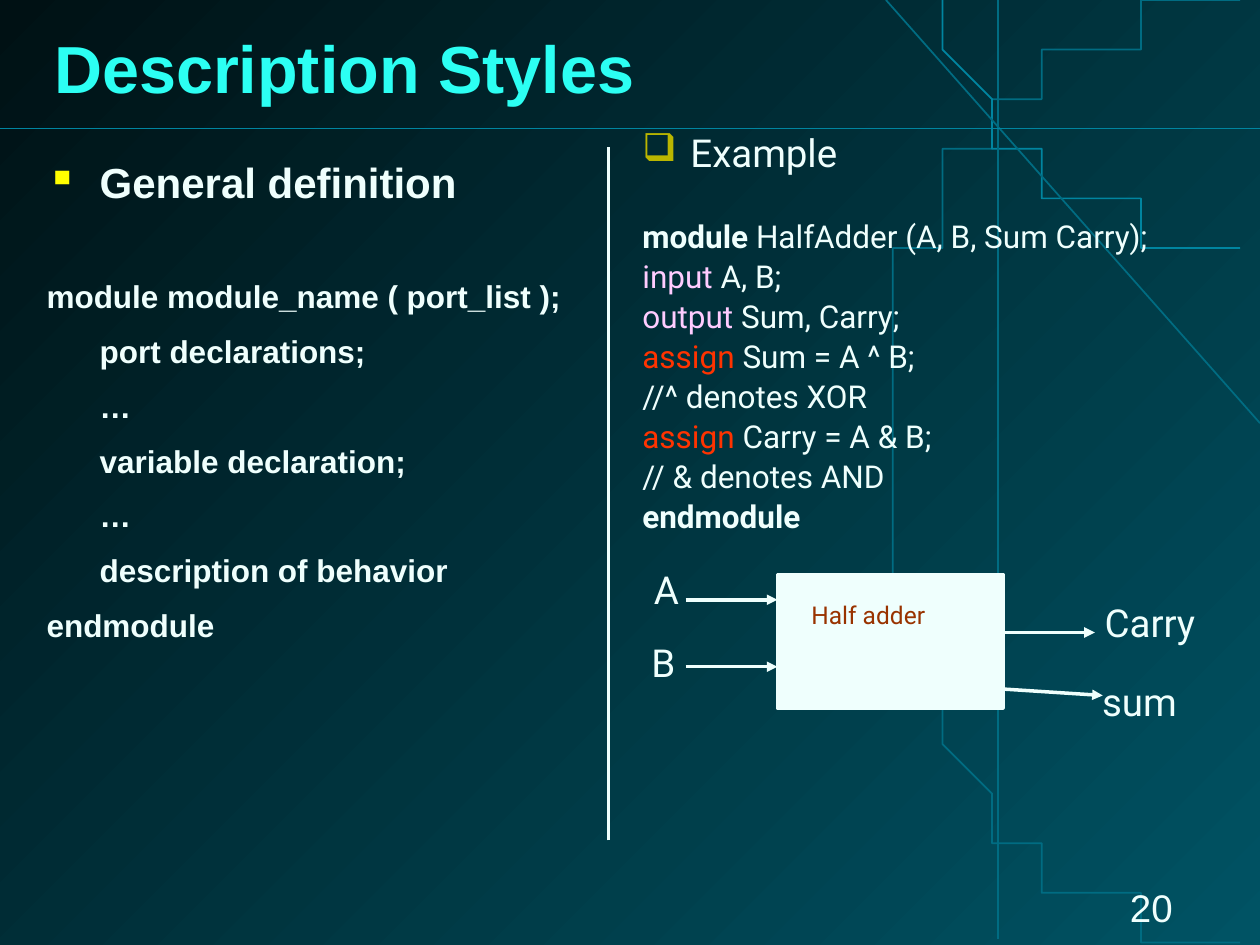
from dataclasses import dataclass

from lxml import etree
from pptx import Presentation
from pptx.dml.color import RGBColor
from pptx.enum.shapes import MSO_CONNECTOR, MSO_SHAPE
from pptx.enum.text import MSO_ANCHOR, PP_ALIGN
from pptx.oxml.ns import qn
from pptx.util import Cm, Pt

STRAIGHT = MSO_CONNECTOR.STRAIGHT
RECTANGLE = MSO_SHAPE.RECTANGLE
MIDDLE = MSO_ANCHOR.MIDDLE
LEFT, CENTER = PP_ALIGN.LEFT, PP_ALIGN.CENTER


@dataclass(frozen=True)
class Theme:
    dark: str = "001114"
    teal: str = "005364"
    faint: str = "006C82"
    accent: str = "0085A0"
    light: str = "EFFFFD"
    title: str = "2CFFF3"
    square: str = "FFFF00"
    box_bullet: str = "BAB600"
    port: str = "FFCCFF"
    assign: str = "FF3300"
    block: str = "993300"
    heading_font: str = "Arial"
    code_font: str = "Roboto"
    title_size: int = 38
    heading_size: int = 24
    label_size: int = 22
    code_size: int = 18
    block_size: int = 14


THEME = Theme()


def rgb(value):
    return RGBColor.from_string(value)


# Shared drawing helpers
def add_line(slide, start, end, color, width=1, arrow=False):
    line = slide.shapes.add_connector(STRAIGHT, *map(Cm, start + end))
    line.line.color.rgb = rgb(color)
    line.line.width = Pt(width)
    if arrow:
        etree.SubElement(line.line._get_or_add_ln(), qn("a:tailEnd"), type="triangle")
    etree.SubElement(line._element.spPr, qn("a:effectLst"))


def add_curve(slide, start, segments, color, steps=32):
    """Draw joined cubic curves as one open outline."""
    points, origin = [], start
    for c1, c2, end in segments:
        for step in range(1, steps + 1):
            t = step / steps
            weights = ((1 - t) ** 3, 3 * t * (1 - t) ** 2, 3 * t * t * (1 - t), t ** 3)
            knots = (origin, c1, c2, end)
            points.append(tuple(sum(w * k[axis] for w, k in zip(weights, knots))
                                for axis in (0, 1)))
        origin = end
    builder = slide.shapes.build_freeform(*start, scale=Cm(1))
    builder.add_line_segments(points, close=False)
    curve = builder.convert_to_shape()
    curve.shadow.inherit = False
    curve.fill.background()
    curve.line.color.rgb = rgb(color)
    curve.line.width = Pt(1)


def add_frame(slide, box, wrap=True):
    frame = slide.shapes.add_textbox(*map(Cm, box)).text_frame
    frame.word_wrap = wrap
    return frame


def write(paragraph, runs, font, size, spacing, before=0, align=LEFT):
    """Fill a paragraph with (text, colour, bold) runs."""
    paragraph.alignment = align
    paragraph.line_spacing = spacing
    paragraph.space_before = Pt(before)
    for text, color, bold in runs:
        run = paragraph.add_run()
        run.text = text
        run.font.name, run.font.size, run.font.bold = font, Pt(size), bold
        run.font.color.rgb = rgb(color)
    return paragraph


def set_bullet(paragraph, indent, char, color):
    props = paragraph._p.get_or_add_pPr()
    props.set("marL", str(Cm(indent)))
    props.set("indent", str(-Cm(indent)))
    bullet_color = etree.SubElement(props, qn("a:buClr"))
    etree.SubElement(bullet_color, qn("a:srgbClr"), val=color)
    etree.SubElement(props, qn("a:buChar"), char=char)


def add_label(slide, box, text, font=THEME.code_font, size=THEME.label_size,
              color=THEME.light, align=LEFT):
    frame = add_frame(slide, box, wrap=False)
    write(frame.paragraphs[0], [(text, color, False)], font, size, 0.85, align=align)


# Regions
def draw_backdrop(slide, box):
    left, top, width, height = box
    right, bottom = left + width, top + height
    fill = slide.background.fill
    fill.gradient()
    fill.gradient_angle = 315
    for stop, color, position in zip(fill.gradient_stops, (THEME.dark, THEME.teal), (0, 1)):
        stop.color.rgb = rgb(color)
        stop.position = position

    circle_left, circle_middle = right - 7.77, top + 9.52
    add_curve(slide, (right - 0.25, bottom), [
        ((right - 4.44, bottom - 0.18), (circle_left, bottom - 4.39),
         (circle_left, circle_middle)),
        ((circle_left, top + 4.27), (right - 4.29, top), (right, top)),
    ], THEME.faint)
    add_curve(slide, (right - 0.08, top + 4.83), [
        ((right - 3.33, top + 4.8), (right - 6.07, top + 2.69), (right - 6.48, top)),
    ], THEME.accent)
    add_line(slide, (right, top + 8.53), (right - 7.54, top), THEME.faint)
    add_line(slide, (right - 5.28, top), (right - 5.28, bottom - 0.13), THEME.faint)
    add_line(slide, (left, top + 2.59), (right, top + 2.59), THEME.accent)


def draw_title(slide, box):
    frame = add_frame(slide, box)
    frame.vertical_anchor = MIDDLE
    title = write(frame.paragraphs[0], [("Description Styles", THEME.title, True)],
                  THEME.heading_font, THEME.title_size, 0.87)
    # Hard black shadow behind the letters
    props = title.runs[0]._r.get_or_add_rPr()
    effects = etree.Element(qn("a:effectLst"))
    shadow = etree.SubElement(effects, qn("a:outerShdw"), dist=str(Cm(0.1)), dir="2700000")
    etree.SubElement(shadow, qn("a:srgbClr"), val="000000")
    props.find(qn("a:solidFill")).addnext(effects)


def draw_definition(slide, box):
    indent = 1.07
    frame = add_frame(slide, box)
    heading = frame.paragraphs[0]
    set_bullet(heading, indent, "▪", THEME.square)
    write(heading, [("General definition", THEME.light, True)],
          THEME.heading_font, THEME.heading_size, 0.93)
    lines = [("module module_name ( port_list );", 0), ("port declarations;", 1), ("…", 1),
             ("variable declaration;", 1), ("…", 1), ("description of behavior", 1),
             ("endmodule", 0)]
    for index, (text, level) in enumerate(lines):
        line = frame.add_paragraph()
        line._p.get_or_add_pPr().set("marL", str(Cm(indent * level)))
        write(line, [(text, THEME.light, True)], THEME.heading_font, THEME.code_size,
              0.93, before=11.2 if index else 41.6)


def draw_example(slide, box):
    frame = add_frame(slide, box)
    frame.margin_top = Cm(0.64)
    heading = frame.paragraphs[0]
    set_bullet(heading, 0.97, "❑", THEME.box_bullet)
    write(heading, [("Example", THEME.light, False)],
          THEME.code_font, THEME.label_size, 0.85)
    lines = [("module ", THEME.light, "HalfAdder (A, B, Sum Carry);"),
             ("input ", THEME.port, "A, B;"),
             ("output ", THEME.port, "Sum, Carry;"),
             ("assign ", THEME.assign, "Sum = A ^ B;"),
             ("", THEME.light, "//^ denotes XOR"),
             ("assign ", THEME.assign, "Carry = A & B;"),
             ("", THEME.light, "// & denotes AND"),
             ("endmodule", THEME.light, "")]
    for index, (keyword, color, rest) in enumerate(lines):
        runs = [(keyword, color, color == THEME.light), (rest, THEME.light, False)]
        write(frame.add_paragraph(), [run for run in runs if run[0]], THEME.code_font,
              THEME.code_size, 0.85, before=4.5 if index else 27)


def draw_half_adder(slide, box):
    left, top, _, height = box
    block_left, block_width = left + 2.79, 4.55
    block_right = block_left + block_width
    block = slide.shapes.add_shape(RECTANGLE, Cm(block_left), Cm(top + 0.15),
                                   Cm(block_width), Cm(height - 0.61))
    block.shadow.inherit = False
    block.fill.solid()
    block.fill.fore_color.rgb = rgb(THEME.light)
    block.line.color.rgb = rgb(THEME.light)
    block.line.width = Pt(2)

    # Inputs and outputs
    wires = [((left + 0.94, top + 0.66), (block_left, top + 0.66)),
             ((left + 0.94, top + 2.01), (block_left, top + 2.01)),
             ((block_right, top + 2.46), (left + 9.35, top + 2.59)),
             ((block_right, top + 1.32), (left + 9.19, top + 1.32))]
    for start, end in wires:
        add_line(slide, start, end, THEME.light, 2, arrow=True)
    for text, x, y, width in [("A", 0.05, 0, 1), ("B", 0, 1.47, 1),
                              ("sum", 9.09, 2.26, 2.08), ("Carry", 9.14, 0.66, 2.46)]:
        add_label(slide, (left + x, top + y, width, 1.04), text)
    add_label(slide, (left + 3.15, top + 0.64, 2.95, 0.76), "Half adder",
              size=THEME.block_size, color=THEME.block, align=CENTER)


def main():
    deck = Presentation()
    deck.slide_width, deck.slide_height = Cm(25.4), Cm(19.05)
    slide = deck.slides.add_slide(deck.slide_layouts[6])
    draw_backdrop(slide, (0, 0, 25.4, 19.05))
    add_label(slide, (22.53, 17.83, 1.57, 0.84), "20", font=THEME.heading_font)
    draw_title(slide, (0.84, 0.84, 23.32, 1.27))
    draw_definition(slide, (0.69, 3.12, 11.23, 15.24))
    draw_example(slide, (12.7, 2.11, 11.23, 15.24))
    add_line(slide, (12.27, 16.94), (12.27, 2.97), THEME.light, 2)
    draw_half_adder(slide, (12.88, 11.43, 11.6, 3.3))
    deck.save("out.pptx")


if __name__ == "__main__":
    main()
